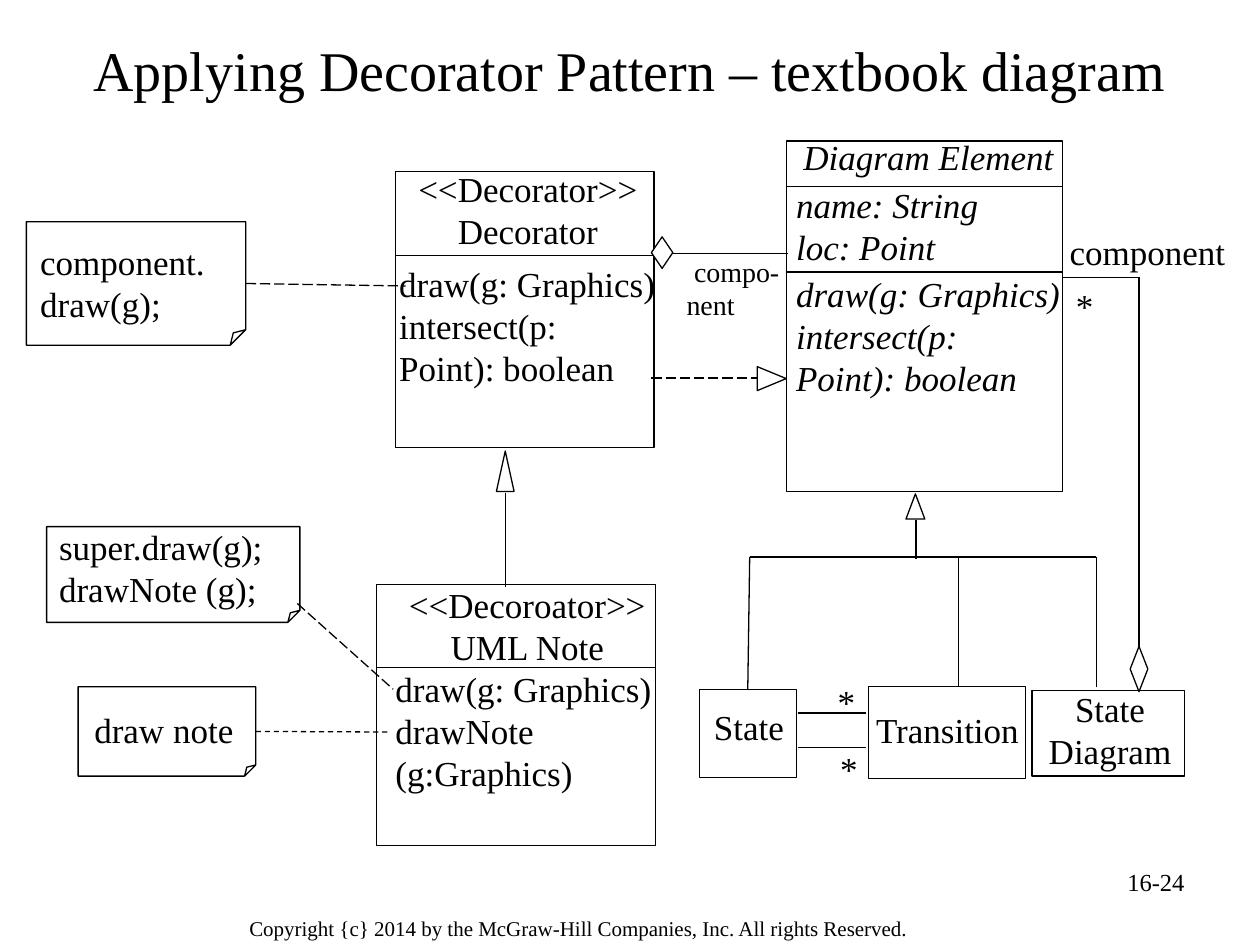
from lxml import etree
from pptx import Presentation
from pptx.dml.color import RGBColor
from pptx.enum.dml import MSO_LINE
from pptx.enum.shapes import MSO_CONNECTOR, MSO_SHAPE
from pptx.enum.text import MSO_ANCHOR, PP_ALIGN
from pptx.oxml.ns import qn
from pptx.util import Inches, Pt

RECT, NOTE = MSO_SHAPE.RECTANGLE, MSO_SHAPE.FOLDED_CORNER
TRIANGLE, DIAMOND = MSO_SHAPE.ISOSCELES_TRIANGLE, MSO_SHAPE.DIAMOND
STRAIGHT = MSO_CONNECTOR.STRAIGHT
DASH, LONG_DASH = MSO_LINE.DASH, MSO_LINE.LONG_DASH
LEFT, CENTER, RIGHT = PP_ALIGN.LEFT, PP_ALIGN.CENTER, PP_ALIGN.RIGHT
TOP, MIDDLE = MSO_ANCHOR.TOP, MSO_ANCHOR.MIDDLE
FONT, BLACK, WHITE = "Times New Roman", "000000", "FFFFFF"


def color(value):
    return RGBColor.from_string(value)


def write(sp, paragraphs, size=20, align=LEFT, italic=False, anchor=TOP):
    tf = sp.text_frame
    tf.word_wrap = True
    tf.vertical_anchor = anchor
    for i, item in enumerate(paragraphs):
        text, fmt = item if isinstance(item, tuple) else (item, {})
        p = tf.paragraphs[0] if i == 0 else tf.add_paragraph()
        p.alignment = fmt.get("align", align)
        if "before" in fmt:
            p.space_before = Pt(fmt["before"])
        if "after" in fmt:
            p.space_after = Pt(fmt["after"])
        if "indent" in fmt:
            pPr = p._p.get_or_add_pPr()
            pPr.set("marL", "0")
            pPr.set("indent", str(Inches(fmt["indent"])))
        r = p.add_run()
        r.text = text
        r.font.name, r.font.size, r.font.italic = FONT, Pt(size), italic
        r.font.color.rgb = color(BLACK)


def add_text(s, box, *paragraphs, **fmt):
    sp = s.shapes.add_textbox(*map(Inches, box))
    write(sp, paragraphs, **fmt)
    return sp


def add_outline(s, kind, box, fill=None, rotation=0):
    sp = s.shapes.add_shape(kind, *map(Inches, box))
    sp.shadow.inherit = False
    sp.rotation = rotation
    if fill:
        sp.fill.solid()
        sp.fill.fore_color.rgb = color(fill)
    else:
        sp.fill.background()
    sp.line.color.rgb = color(BLACK)
    sp.line.width = Pt(0.75)
    return sp


def add_line(s, x1, y1, x2, y2, dash=None, begin=None, end=None):
    line = s.shapes.add_connector(STRAIGHT, *map(Inches, (x1, y1, x2, y2)))
    line.line.color.rgb = color(BLACK)
    line.line.width = Pt(0.75)
    if dash:
        line.line.dash_style = dash
    if begin:
        line.begin_connect(*begin)
    if end:
        line.end_connect(*end)
    etree.SubElement(line._element.spPr, qn("a:effectLst"))


def add_class(s, box, text_box, dividers, *paragraphs, **fmt):
    add_text(s, text_box, *paragraphs, **fmt)
    sp = add_outline(s, RECT, box)
    for y in dividers:
        add_line(s, box[0], y, box[0] + box[2], y)
    return sp


def add_note(s, box, text_box, *paragraphs):
    add_text(s, text_box, *paragraphs)
    sp = add_outline(s, NOTE, box)
    geometry = sp._element.spPr.find(qn("a:prstGeom"))
    fold = etree.SubElement(geometry.find(qn("a:avLst")), qn("a:gd"))
    fold.set("name", "adj")
    fold.set("fmla", "val 12500")
    return sp


def add_classes(s):
    head = {"align": CENTER}
    add_class(s, (6.24, 1.12, 2.19, 2.78), (6.22, 1.03, 2.3, 2.89), (1.48, 2.16),
              ("Diagram Element", {"align": CENTER, "after": 3}),
              "name: String", "loc: Point",
              ("draw(g: Graphics)", {"before": 3}),
              "intersect(p: Point): boolean", italic=True)
    add_class(s, (3.14, 1.36, 2.05, 2.19), (3.07, 1.28, 2.24, 2.45), (2.03,),
              ("<<Decorator>>", head), ("Decorator", {"align": CENTER, "after": 3}),
              ("draw(g: Graphics)", {"before": 3}), "intersect(p: Point): boolean")
    add_class(s, (2.99, 4.64, 2.21, 2.07), (3.04, 4.58, 2.29, 2.2), (5.3,),
              ("<<Decoroator>>", head), ("UML Note", head),
              "draw(g: Graphics)", "drawNote (g:Graphics)")
    state = add_class(s, (5.55, 5.47, 0.77, 0.7), (5.53, 5.55, 0.83, 0.78), (),
                      "State", align=CENTER)
    add_class(s, (6.89, 5.45, 1.25, 0.73), (6.84, 5.57, 1.36, 0.71), (),
              "Transition", align=CENTER)
    add_class(s, (8.19, 5.48, 1.21, 0.68), (8.09, 5.41, 1.44, 0.83), (),
              "State Diagram", align=CENTER)
    return state


def add_relations(s, state):
    add_line(s, 5.95, 4.42, 8.7, 4.42)
    add_line(s, 7.27, 4.13, 7.27, 4.44)
    add_line(s, 5.95, 4.42, 5.95, 5.45, end=(state, 0))
    for x in (7.61, 8.7):
        add_line(s, x, 4.42, x, 5.45)
    add_outline(s, TRIANGLE, (7.19, 3.92, 0.15, 0.2), WHITE)

    add_line(s, 4.01, 3.91, 4.01, 4.66)
    add_outline(s, TRIANGLE, (3.94, 3.58, 0.14, 0.32), WHITE)
    add_line(s, 5.17, 3, 6.01, 3, LONG_DASH)
    add_outline(s, TRIANGLE, (6.03, 2.89, 0.19, 0.23), rotation=90)

    add_line(s, 5.31, 2.01, 6.25, 2.01)
    add_outline(s, DIAMOND, (5.17, 1.88, 0.17, 0.25), WHITE)
    add_text(s, (5.35, 1.97, 1.18, 0.48), ("compo-nent", {"indent": 0.06}), size=16)

    add_line(s, 8.44, 2.2, 9.04, 2.2)
    add_line(s, 9.04, 2.2, 9.04, 5.24)
    add_outline(s, DIAMOND, (8.97, 5.13, 0.14, 0.36), WHITE)
    add_text(s, (8.39, 1.78, 1.5, 0.48), "component")

    for y in (5.66, 5.93):
        add_line(s, 6.33, y, 6.87, y)
    for x, y in ((8.44, 2.21), (6.55, 5.35), (6.57, 5.88)):
        add_text(s, (x, y, 0.38, 0.52), "*")


def add_notes(s):
    component = add_note(s, (0.21, 1.76, 1.74, 0.98), (0.22, 1.86, 1.82, 0.89),
                         "component. draw(g);")
    add_line(s, 1.95, 2.25, 3.22, 2.27, LONG_DASH, begin=(component, 3))
    add_note(s, (0.37, 4.18, 2.01, 0.76), (0.37, 4.12, 2.05, 0.87),
             "super.draw(g);", "drawNote (g);")
    add_line(s, 2.36, 4.79, 3.12, 5.47, LONG_DASH)
    drawing = add_note(s, (0.62, 5.45, 1.41, 0.71), (0.65, 5.57, 1.54, 0.69), "draw note")
    add_line(s, 2.03, 5.81, 3.1, 5.81, DASH, begin=(drawing, 3))


def main():
    prs = Presentation()
    prs.slide_width, prs.slide_height = Inches(10), Inches(7.5)
    s = prs.slides.add_slide(prs.slide_layouts[5])
    title = s.shapes.title
    title.left, title.top, title.width, title.height = map(Inches, (0.5, 0.17, 9, 0.75))
    write(title, ["Applying Decorator Pattern – textbook diagram"],
          size=32, align=CENTER, anchor=MIDDLE)
    state = add_classes(s)
    add_relations(s, state)
    add_notes(s)
    add_text(s, (7.17, 6.83, 2.33, 0.52), "16-24", size=14, align=RIGHT)
    add_text(s, (1.88, 7.22, 6.19, 0.31),
             "Copyright {c} 2014 by the McGraw-Hill Companies, Inc. All rights Reserved.", size=12)
    prs.save("out.pptx")


if __name__ == "__main__":
    main()
